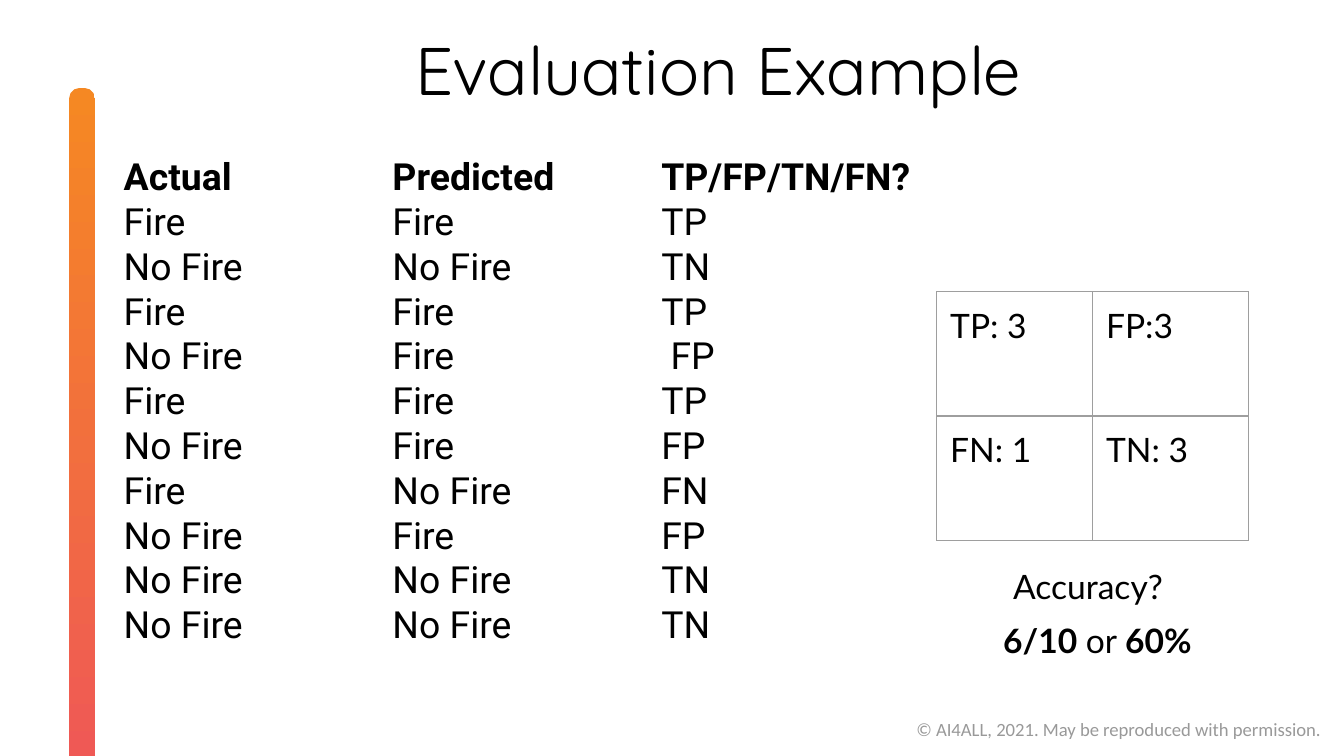
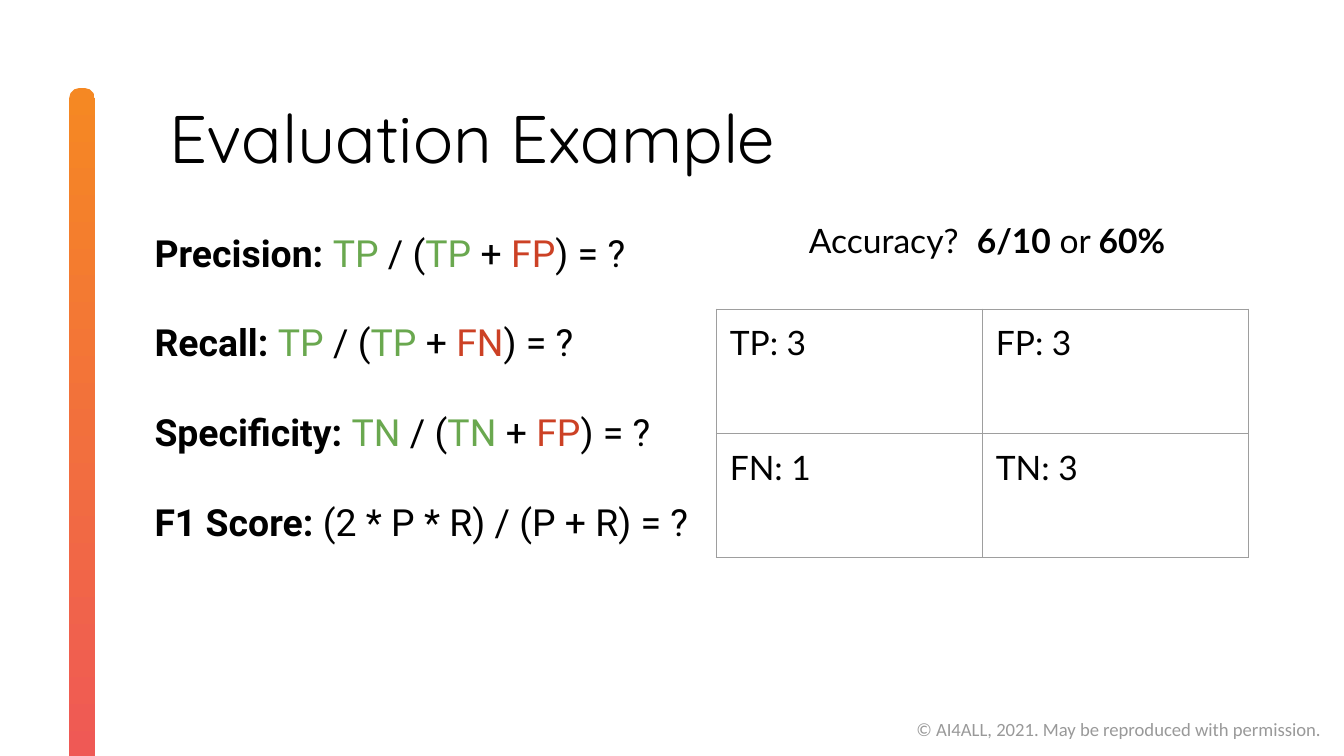
from lxml.etree import SubElement
from pptx import Presentation
from pptx.dml.color import RGBColor
from pptx.enum.shapes import MSO_SHAPE
from pptx.enum.text import MSO_ANCHOR, MSO_AUTO_SIZE, PP_ALIGN
from pptx.oxml import parse_xml
from pptx.oxml.ns import nsdecls, qn
from pptx.util import Pt

COLORS = {
    "text": "000000",
    "footer": "999999",
    "correct": "6AA84F",
    "wrong": "CC4125",
    "grid": "9E9E9E",
    "bar_top": "F58823",
    "bar_bottom": "EF5757",
}


def fill_paragraph(paragraph, runs, font, size):
    for text, bold, color in runs:
        run = paragraph.add_run()
        run.text = text
        run.font.name = font
        run.font.size = Pt(size)
        run.font.bold = bold
        run.font.color.rgb = RGBColor.from_string(COLORS[color])


def add_text(slide, box, lines, font, size, inset=(0, 0), align=PP_ALIGN.LEFT,
             tabs=(), pitch=None, gap=0):
    frame = slide.shapes.add_textbox(*map(Pt, box)).text_frame
    frame.word_wrap = True
    frame.margin_left = frame.margin_right = Pt(inset[0])
    frame.margin_top = frame.margin_bottom = Pt(inset[1])
    for number, runs in enumerate(lines):
        paragraph = frame.add_paragraph() if number else frame.paragraphs[0]
        paragraph.alignment = align
        if pitch:
            paragraph.line_spacing = Pt(pitch)
        if number and gap:
            paragraph.space_before = Pt(gap)
        if tabs:
            stops = SubElement(paragraph._p.get_or_add_pPr(), qn("a:tabLst"))
            for stop in tabs:
                SubElement(stops, qn("a:tab"), pos=str(Pt(stop)), algn="l")
        fill_paragraph(paragraph, runs, font, size)


prs = Presentation()
prs.slide_width, prs.slide_height = Pt(720), Pt(405)

slide_parts = [
    {"title": (95.76, 15.12), "align": PP_ALIGN.CENTER,
     "matrix": (501.84, 156.24), "column": 83.52,
     "counts": [["TP: 3", "FP:3"], ["FN: 1", "TN: 3"]]},
    {"title": (90.72, 51.84), "align": PP_ALIGN.LEFT,
     "matrix": (383.76, 165.6), "column": 142.56,
     "counts": [["TP: 3", "FP: 3"], ["FN: 1", "TN: 3"]]},
]

for parts in slide_parts:
    slide = prs.slides.add_slide(prs.slide_layouts[5])

    add_text(slide, (483.84, 380.88, 233.28, 19.44),
             [[("© AI4ALL, 2021. May be reproduced with permission.", False, "footer")]],
             "Calibri", 10, inset=(7.2, 3.6))

    bar = slide.shapes.add_shape(MSO_SHAPE.ROUNDED_RECTANGLE, Pt(-142.56), Pt(226.8),
                                 Pt(372.96), Pt(13.68))
    bar.rotation = 90
    bar.adjustments[0] = 0.39
    bar.shadow.inherit = False
    bar.line.fill.background()
    bar.fill.gradient()
    bar.fill.gradient_angle = 0
    for stop, shade in zip(bar.fill.gradient_stops, ("bar_top", "bar_bottom")):
        stop.color.rgb = RGBColor.from_string(COLORS[shade])

    title = slide.shapes.title
    title.left, title.top = map(Pt, parts["title"])
    title.width, title.height = Pt(578.16), Pt(28.8)
    heading = title.text_frame
    heading.auto_size = MSO_AUTO_SIZE.NONE
    heading.vertical_anchor = MSO_ANCHOR.TOP
    heading.margin_left = heading.margin_right = 0
    heading.margin_top = heading.margin_bottom = 0
    heading.paragraphs[0].alignment = parts["align"]
    fill_paragraph(heading.paragraphs[0], [("Evaluation Example", False, "text")],
                   "Quicksand", 36)

    left, top = parts["matrix"]
    matrix = slide.shapes.add_table(2, 2, Pt(left), Pt(top),
                                    Pt(2 * parts["column"]), Pt(133.2)).table
    matrix.first_row = matrix.horz_banding = False
    for row, counts in enumerate(parts["counts"]):
        matrix.rows[row].height = Pt(66.6)
        matrix.columns[row].width = Pt(parts["column"])
        for column, count in enumerate(counts):
            cell = matrix.cell(row, column)
            cell.margin_left = cell.margin_right = Pt(7.2)
            cell.margin_top = cell.margin_bottom = Pt(7.2)
            cell.fill.background()
            fill_paragraph(cell.text_frame.paragraphs[0], [(count, False, "text")], "Lato", 18)
            properties = cell._tc.get_or_add_tcPr()
            for position, side in enumerate("LRTB"):
                properties.insert(position, parse_xml(
                    f'<a:ln{side} {nsdecls("a")} w="{Pt(0.75)}"><a:solidFill>'
                    f'<a:srgbClr val="{COLORS["grid"]}"/></a:solidFill></a:ln{side}>'))

example, scores = prs.slides

predictions = [
    ("Actual", "Predicted", "TP/FP/TN/FN?"),
    ("Fire", "Fire", "TP"),
    ("No Fire", "No Fire", "TN"),
    ("Fire", "Fire", "TP"),
    ("No Fire", "Fire", " FP"),
    ("Fire", "Fire", "TP"),
    ("No Fire", "Fire", "FP"),
    ("Fire", "No Fire", "FN"),
    ("No Fire", "Fire", "FP"),
    ("No Fire", "No Fire", "TN"),
    ("No Fire", "No Fire", "TN"),
]
add_text(example, (66.24, 82.08, 435.6, 281.52),
         [[("\t".join(row), number == 0, "text")] for number, row in enumerate(predictions)],
         "Roboto", 20, tabs=(144, 288), pitch=24)

accuracy = [("6/10", True, "text"), (" or ", False, "text"), ("60%", True, "text")]
add_text(example, (496.8, 295.92, 172.08, 38.88), [[("Accuracy?", False, "text")]],
         "Lato", 18, inset=(7.2, 7.2), align=PP_ALIGN.CENTER)
add_text(example, (501.84, 324.72, 172.08, 38.88), [accuracy],
         "Lato", 18, inset=(7.2, 7.2), align=PP_ALIGN.CENTER)
add_text(scores, (426.24, 110.88, 223.2, 38.88),
         [[("Accuracy?\t", False, "text")] + accuracy],
         "Lato", 18, inset=(7.2, 7.2), tabs=(90,))

ratios = [("Precision", "TP", "FP"), ("Recall", "TP", "FN"), ("Specificity", "TN", "FP")]
formulas = [
    [(f"{measure}: ", True, "text"), (hit, False, "correct"), (" / (", False, "text"),
     (hit, False, "correct"), (" + ", False, "text"), (miss, False, "wrong"),
     (") = ?", False, "text")]
    for measure, hit, miss in ratios
]
formulas.append([("F1 Score:", True, "text"),
                 (" (2 * P * R) / (P + R) = ?", False, "text")])
add_text(scores, (82.8, 123.12, 578.16, 236.88), formulas, "Roboto", 20, pitch=24, gap=24)

prs.save("out.pptx")
